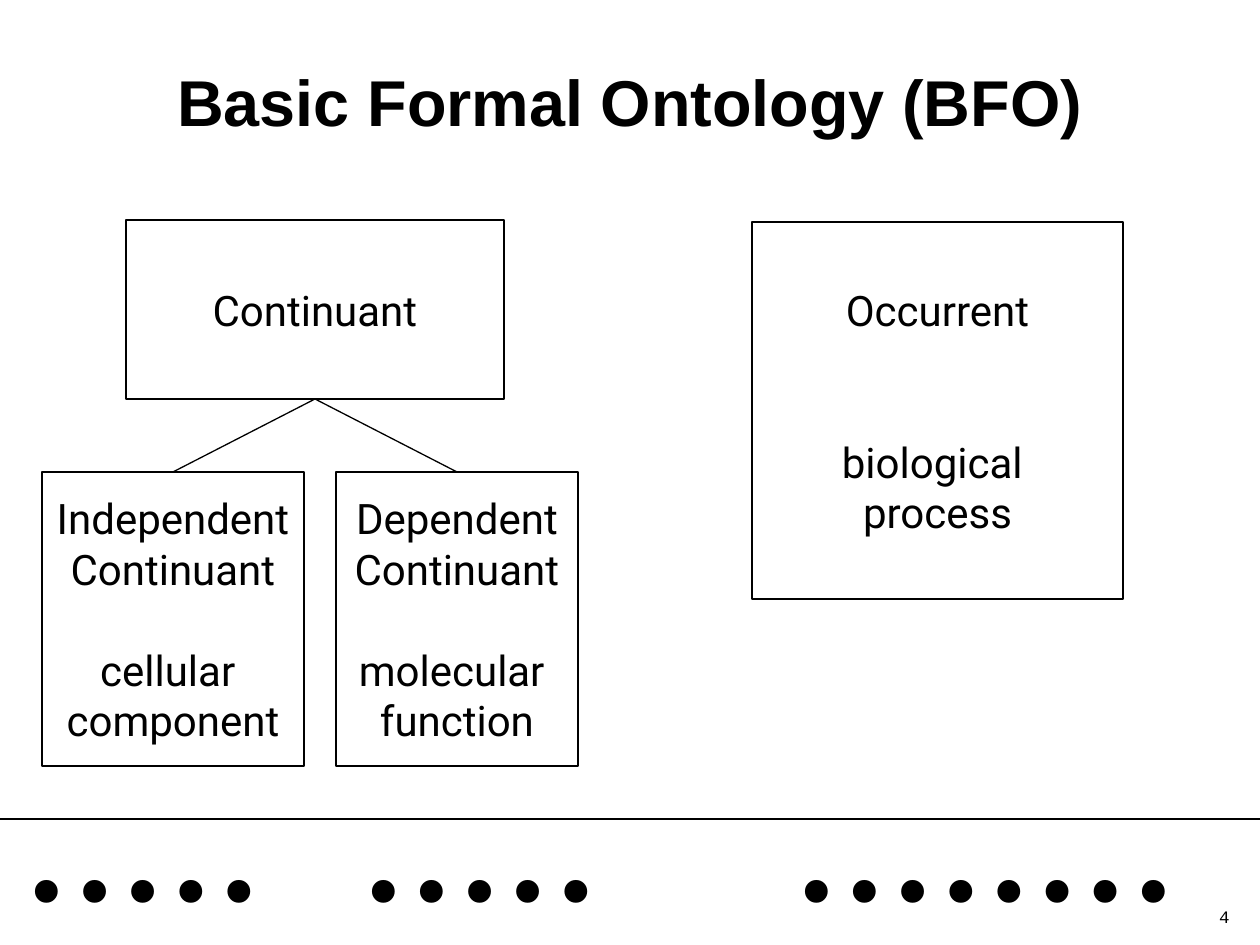
"""Build the Basic Formal Ontology slide."""
import pptx
import pptx.dml.color
import pptx.enum.shapes
import pptx.enum.text
import pptx.oxml.xmlchemy
import pptx.util

PX = 914400 / 126
ALIGN = pptx.enum.text.PP_ALIGN
ANCHOR = pptx.enum.text.MSO_ANCHOR
element = pptx.oxml.xmlchemy.OxmlElement


def rgb(value):
    return pptx.dml.color.RGBColor.from_string(value)


def add_run(p, text, size, font, bold=False):
    r = p.add_run()
    r.text = text
    r.font.size = pptx.util.Pt(size)
    r.font.name = font
    r.font.bold = bold
    r.font.color.rgb = rgb("000000")


prs = pptx.Presentation()
prs.slide_width, prs.slide_height = int(1260 * PX), int(945 * PX)
s = prs.slides.add_slide(prs.slide_layouts[5])

title = s.shapes.title
title.left, title.top, title.width, title.height = [int(v * PX) for v in (0, 53, 1260, 95)]
tf = title.text_frame
tf.vertical_anchor = ANCHOR.MIDDLE
p = tf.paragraphs[0]
p.alignment = ALIGN.CENTER
add_run(p, "Basic Formal Ontology (BFO)", 37, "Arial", True)

boxes = [
    ((126, 220, 378, 179), [("Continuant", 0)]),
    ((752, 222, 371, 377), [("Occurrent", 0), ("biological ", 58), ("process", 0)]),
    ((42, 472, 262, 294), [("Independent", 0), ("Continuant", 0), ("cellular ", 29), ("component", 0)]),
    ((336, 472, 242, 294), [("Dependent", 0), ("Continuant", 0), ("molecular ", 29), ("function", 0)]),
]
for frame, lines in boxes:
    sp = s.shapes.add_shape(pptx.enum.shapes.MSO_SHAPE.RECTANGLE, *[int(v * PX) for v in frame])
    sp.shadow.inherit = False
    sp.fill.background()
    sp.line.color.rgb = rgb("000000")
    sp.line.width = pptx.util.Pt(0.75)
    tf = sp.text_frame
    tf.word_wrap = False
    tf.vertical_anchor = ANCHOR.MIDDLE
    for i, (text, gap) in enumerate(lines):
        p = tf.add_paragraph() if i else tf.paragraphs[0]
        p.alignment = ALIGN.CENTER
        if gap:
            p.space_before = pptx.util.Pt(gap)
        add_run(p, text, 24, "Roboto")

for ends in [(315, 399, 173, 472), (315, 399, 457, 472), (0, 819, 1260, 819)]:
    line = s.shapes.add_connector(pptx.enum.shapes.MSO_CONNECTOR.STRAIGHT, *[int(v * PX) for v in ends])
    line.line.color.rgb = rgb("000000")
    line.line.width = pptx.util.Pt(0.75)
    line._element.spPr.append(element("a:effectLst"))

dots = s.shapes.add_textbox(*[int(v * PX) for v in (10, 766, 1250, 140)])
tf = dots.text_frame
tf.word_wrap = True
tf.margin_top = int(33 * PX)
p = tf.paragraphs[0]
p.line_spacing = 0.55
tabs = element("a:tabLst")
for stop in (337, 770):
    tab = element("a:tab")
    tab.set("pos", str(int(stop * PX)))
    tab.set("algn", "l")
    tabs.append(tab)
p._p.get_or_add_pPr().append(tabs)
add_run(p, ".....\t.....\t........", 110, "Times New Roman")

number = s.shapes.add_textbox(*[int(v * PX) for v in (1192, 883, 50, 50)])
tf = number.text_frame
tf.word_wrap = True
tf.vertical_anchor = ANCHOR.BOTTOM
p = tf.paragraphs[0]
p.alignment = ALIGN.RIGHT
add_run(p, "4", 10, "Courier New")

prs.save("out.pptx")
